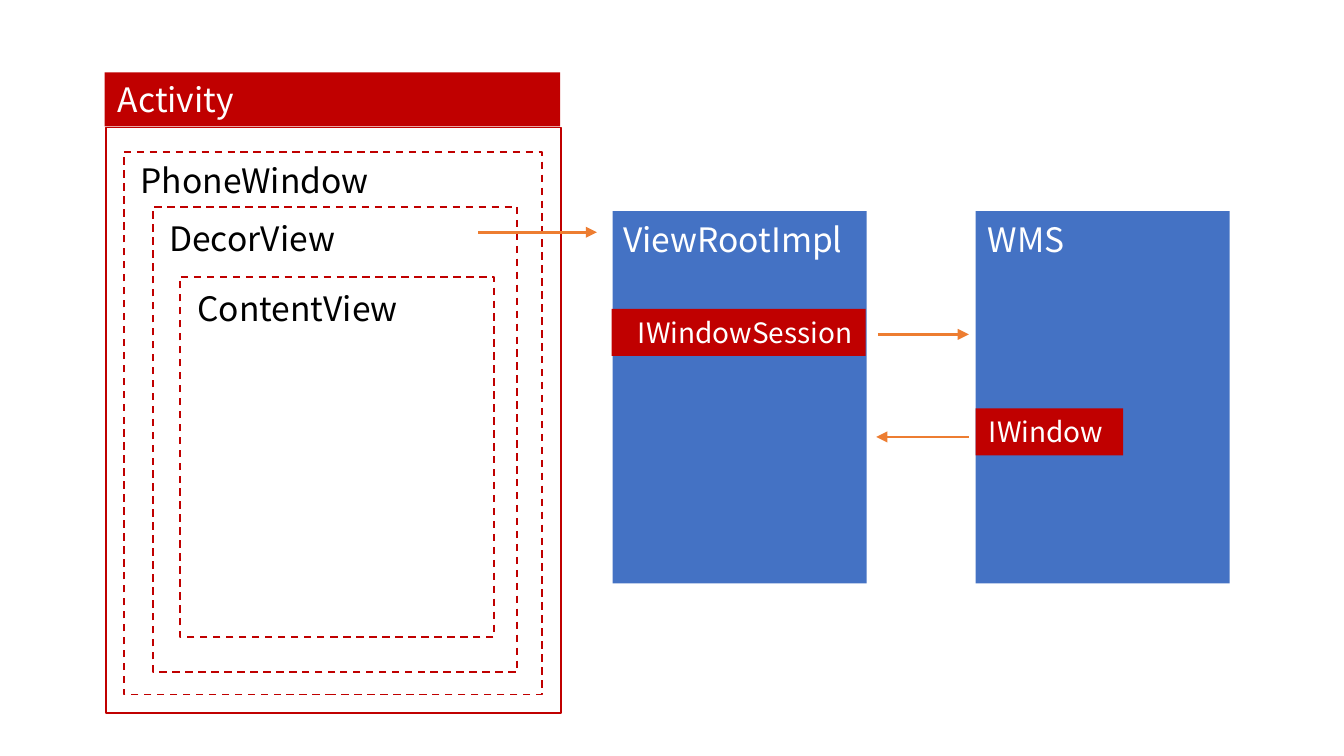
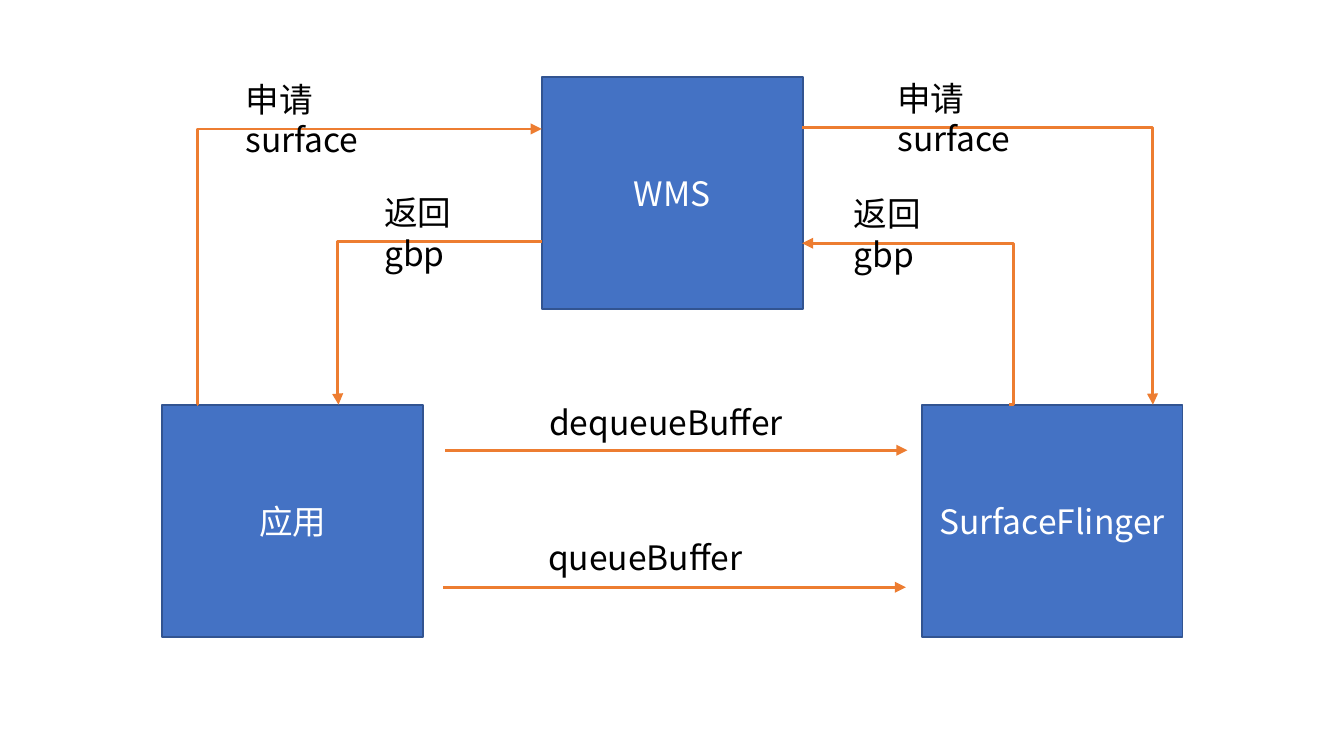
from dataclasses import dataclass

from lxml.etree import SubElement
from pptx import Presentation
from pptx.dml.color import RGBColor
from pptx.enum.dml import MSO_LINE
from pptx.enum.shapes import MSO_CONNECTOR, MSO_SHAPE
from pptx.enum.text import MSO_ANCHOR, MSO_AUTO_SIZE, PP_ALIGN
from pptx.oxml.ns import qn
from pptx.util import Cm, Pt

FONT = "Noto Sans CJK SC"
RED, BLUE, NAVY, ORANGE = "C00000", "4472C4", "325491", "ED7D31"
BLACK, WHITE = "000000", "FFFFFF"
LABEL_HEIGHT = 1.02
CHIP_HEIGHT = 0.89


@dataclass
class Box:
    left: float
    top: float
    width: float
    height: float
    text: str = ""
    fill: str = ""
    line: str = ""
    dashed: bool = False
    size: int = 18
    align: PP_ALIGN = PP_ALIGN.LEFT
    anchor: MSO_ANCHOR = MSO_ANCHOR.TOP


@dataclass
class Label:
    left: float
    top: float
    width: float
    text: str
    color: str = BLACK
    two_lines: bool = False


@dataclass
class Arrow:
    start: tuple[float, float]
    end: tuple[float, float]
    bend: float | None = None  # share of the width where an elbow turns


def rgb(color: str) -> RGBColor:
    return RGBColor.from_string(color)


def write(shape, text: str, size: int, color: str,
          align: PP_ALIGN = PP_ALIGN.LEFT) -> None:
    shape.text_frame.text = text
    para = shape.text_frame.paragraphs[0]
    para.alignment = align
    for span in para.runs:
        span.font.size = Pt(size)
        span.font.name = FONT
        span.font.color.rgb = rgb(color)
        SubElement(span.font._element, qn("a:ea"), typeface=FONT)


def draw_box(page, box: Box) -> None:
    shape = page.shapes.add_shape(MSO_SHAPE.RECTANGLE, Cm(box.left), Cm(box.top),
                                  Cm(box.width), Cm(box.height))
    shape.shadow.inherit = False
    if box.fill:
        shape.fill.solid()
        shape.fill.fore_color.rgb = rgb(box.fill)
    else:
        shape.fill.background()
    if box.line:
        shape.line.color.rgb = rgb(box.line)
        shape.line.width = Pt(1)
    else:
        shape.line.fill.background()
    if box.dashed:
        shape.line.dash_style = MSO_LINE.DASH
    if box.text:
        shape.text_frame.vertical_anchor = box.anchor
        write(shape, box.text, box.size, WHITE, box.align)


def draw_label(page, label: Label) -> None:
    shape = page.shapes.add_textbox(Cm(label.left), Cm(label.top),
                                    Cm(label.width), Cm(LABEL_HEIGHT))
    frame = shape.text_frame
    frame.auto_size = MSO_AUTO_SIZE.SHAPE_TO_FIT_TEXT
    frame.word_wrap = label.two_lines
    if label.two_lines:
        frame.margin_right = Cm(1)
    write(shape, label.text, 18, label.color)


def draw_arrow(page, arrow: Arrow) -> None:
    kind = MSO_CONNECTOR.STRAIGHT if arrow.bend is None else MSO_CONNECTOR.ELBOW
    connector = page.shapes.add_connector(
        kind, *(Cm(value) for value in arrow.start + arrow.end))
    connector.line.color.rgb = rgb(ORANGE)
    connector.line.width = Pt(1.5)
    properties = connector._element.spPr
    SubElement(connector.line._get_or_add_ln(), qn("a:tailEnd"), type="triangle")
    SubElement(properties, qn("a:effectLst"))
    if arrow.bend is not None:
        guides = properties.find(qn("a:prstGeom")).get_or_add_avLst()
        SubElement(guides, qn("a:gd"), name="adj1",
                   fmla=f"val {round(arrow.bend * 100000)}")


def draw(page, parts: list[Box | Label | Arrow]) -> None:
    painters = {Box: draw_box, Label: draw_label, Arrow: draw_arrow}
    for part in parts:
        painters[type(part)](page, part)


def frame(left: float, top: float, width: float, height: float) -> Box:
    return Box(left, top, width, height, line=RED, dashed=True)


def panel(left: float) -> Box:
    return Box(left, 3.99, 4.8, 7.04, fill=BLUE)


def node(left: float, top: float, text: str) -> Box:
    return Box(left, top, 4.93, 4.39, text, BLUE, NAVY,
               align=PP_ALIGN.CENTER, anchor=MSO_ANCHOR.MIDDLE)


WINDOW_PARTS = [
    # Activity with its nested windows
    Box(2.01, 2.41, 8.59, 11.07, line=RED),
    Box(1.98, 1.37, 8.61, LABEL_HEIGHT, "Activity", RED),
    frame(2.34, 2.87, 7.9, 10.26),
    Label(2.41, 2.9, 5.03, "PhoneWindow"),
    frame(2.9, 3.91, 6.88, 8.79),
    Label(2.95, 3.99, 3.81, "DecorView"),
    frame(3.4, 5.23, 5.94, 6.81),
    Label(3.48, 5.31, 4.45, "ContentView"),
    # View root and window manager
    panel(11.58),
    Arrow((9.04, 4.39), (11.28, 4.39)),
    panel(18.44),
    Arrow((16.59, 6.32), (18.31, 6.32)),
    Arrow((18.31, 8.26), (16.56, 8.26)),
    Label(11.53, 4.01, 4.8, "ViewRootImpl", WHITE),
    Box(11.56, 5.84, 4.8, CHIP_HEIGHT, "IWindowSession", RED, size=15,
        align=PP_ALIGN.RIGHT),
    Box(18.44, 7.72, 2.79, CHIP_HEIGHT, "IWindow", RED, size=15),
    Label(18.42, 4.01, 2.16, "WMS", WHITE),
]

SURFACE_PARTS = [
    # Processes
    node(10.24, 1.45, "WMS"),
    node(3.07, 7.65, "应用"),
    node(17.42, 7.65, "SurfaceFlinger"),
    # Requests and replies
    Arrow((3.73, 7.65), (10.24, 2.44), 0.001),
    Label(4.39, 1.37, 4.01, "申请surface", two_lines=True),
    Arrow((15.16, 2.41), (21.79, 7.65), 0.999),
    Label(16.71, 1.35, 4.01, "申请surface", two_lines=True),
    Arrow((19.08, 7.65), (15.16, 4.6), -0.019),
    Label(15.88, 3.53, 3.02, "返回gbp", two_lines=True),
    Arrow((10.24, 4.57), (6.4, 7.65), 1.004),
    Label(7.01, 3.51, 3.02, "返回gbp", two_lines=True),
    # Buffer calls
    Arrow((8.41, 8.51), (17.15, 8.51)),
    Label(10.13, 7.47, 5.08, "dequeueBuffer"),
    Arrow((8.38, 11.1), (17.12, 11.1)),
    Label(10.11, 10.03, 4.29, "queueBuffer"),
]


def main() -> None:
    deck = Presentation()
    deck.slide_width, deck.slide_height = Cm(25.4), Cm(14.29)
    for parts in (WINDOW_PARTS, SURFACE_PARTS):
        draw(deck.slides.add_slide(deck.slide_layouts[6]), parts)
    deck.save("out.pptx")


if __name__ == "__main__":
    main()
